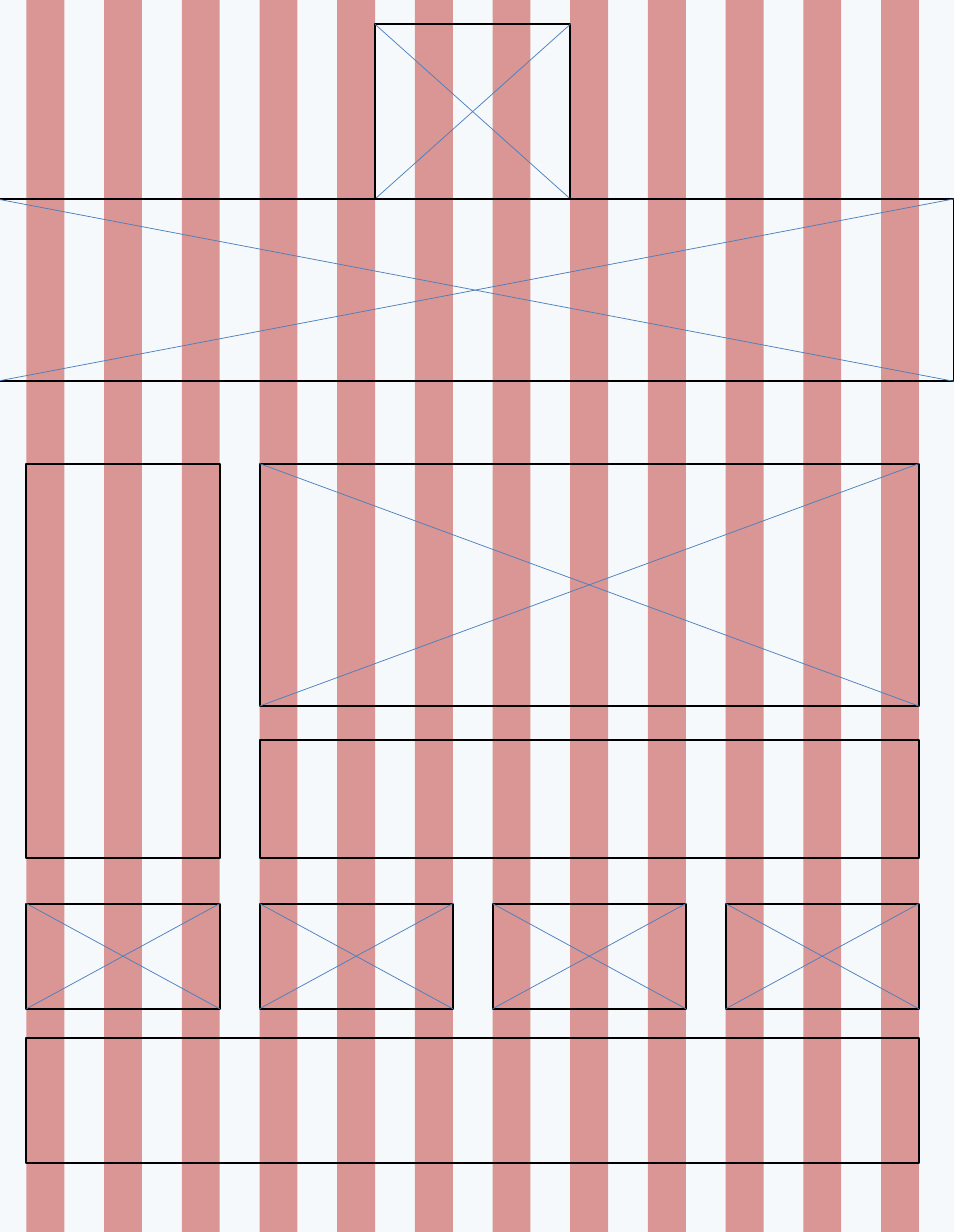
"""Build a page wireframe of framed blocks on a twelve-column grid."""
import pptx
import pptx.dml.color
import pptx.enum.shapes
import pptx.oxml
import pptx.util
from pptx.dml.color import RGBColor

PAGE_WIDTH, PAGE_HEIGHT = 13.34, 17.22
COLUMNS = 12
COLUMN_WIDTH = 0.53
FIRST_COLUMN, LAST_COLUMN = 0.37, 12.32
PITCH = (LAST_COLUMN - FIRST_COLUMN) / (COLUMNS - 1)
BLEED = 0.06
CARD_SPAN = 3

BACKGROUND = RGBColor(0xF6, 0xF9, 0xFC)
STRIPE = RGBColor(0xD9, 0x96, 0x94)
OUTLINE = RGBColor(0x00, 0x00, 0x00)
DIAGONAL = RGBColor(0x4B, 0x7E, 0xBC)


def column_left(column):
    """Return the left edge of a grid column in inches."""
    return FIRST_COLUMN + column * PITCH


def column_right(column):
    """Return the right edge of a grid column in inches."""
    return column_left(column) + COLUMN_WIDTH


def add_box(shapes, left, top, right, bottom):
    """Add a plain rectangle between the given edges."""
    box = shapes.add_shape(
        pptx.enum.shapes.MSO_SHAPE.RECTANGLE,
        *map(pptx.util.Inches, (left, top, right - left, bottom - top)))
    box.shadow.inherit = False
    return box


def add_stripes(page):
    """Add the grouped stripes that show the column grid."""
    group = page.shapes.add_group_shape()
    for column in range(COLUMNS):
        stripe = add_box(group.shapes, column_left(column), -BLEED,
                         column_right(column), PAGE_HEIGHT)
        stripe.fill.solid()
        stripe.fill.fore_color.rgb = STRIPE
        stripe.line.fill.background()


def add_frame(shapes, left, top, right, bottom):
    """Add an unfilled, outlined block."""
    frame = add_box(shapes, left, top, right, bottom)
    frame.fill.background()
    frame.line.color.rgb = OUTLINE
    frame.line.width = pptx.util.Pt(2)


def add_diagonal(shapes, left, start, right, end):
    """Add a thin line from the left edge to the right edge."""
    diagonal = shapes.add_connector(
        pptx.enum.shapes.MSO_CONNECTOR.STRAIGHT,
        *map(pptx.util.Inches, (left, start, right, end)))
    diagonal.line.color.rgb = DIAGONAL
    diagonal.line.width = pptx.util.Pt(0.75)
    diagonal._element.spPr.append(pptx.oxml.parse_xml(
        '<a:effectLst xmlns:a='
        '"http://schemas.openxmlformats.org/drawingml/2006/main"/>'))


def add_crossed_frame(shapes, left, top, right, bottom):
    """Add an outlined block crossed by both diagonals."""
    add_frame(shapes, left, top, right, bottom)
    add_diagonal(shapes, left, top, right, bottom)
    add_diagonal(shapes, left, bottom, right, top)


def add_image_block(page, left, top, right, bottom):
    """Add a crossed frame as one group."""
    group = page.shapes.add_group_shape()
    add_crossed_frame(group.shapes, left, top, right, bottom)


def add_cards(page, top, bottom):
    """Add a grouped row of equal crossed frames."""
    group = page.shapes.add_group_shape()
    for column in range(0, COLUMNS, CARD_SPAN):
        add_crossed_frame(group.shapes, column_left(column), top,
                          column_right(column + CARD_SPAN - 1), bottom)


def main():
    """Build and save the wireframe."""
    deck = pptx.Presentation()
    deck.slide_width = pptx.util.Inches(PAGE_WIDTH)
    deck.slide_height = pptx.util.Inches(PAGE_HEIGHT)
    page = deck.slides.add_slide(deck.slide_layouts[6])
    page.background.fill.solid()
    page.background.fill.fore_color.rgb = BACKGROUND

    page_left, page_right = column_left(0), column_right(COLUMNS - 1)
    main_left = column_left(CARD_SPAN)
    add_stripes(page)
    add_image_block(page, column_right(4), 0.34, column_left(7), 2.78)
    add_image_block(page, -0.05, 2.78, PAGE_WIDTH, 5.33)
    add_image_block(page, main_left, 6.48, page_right, 9.87)
    add_frame(page.shapes, page_left, 6.48, column_right(CARD_SPAN - 1), 11.99)
    add_cards(page, 12.63, 14.1)
    add_frame(page.shapes, page_left, 14.51, page_right, 16.25)
    add_frame(page.shapes, main_left, 10.34, page_right, 11.99)
    deck.save("out.pptx")


if __name__ == "__main__":
    main()
